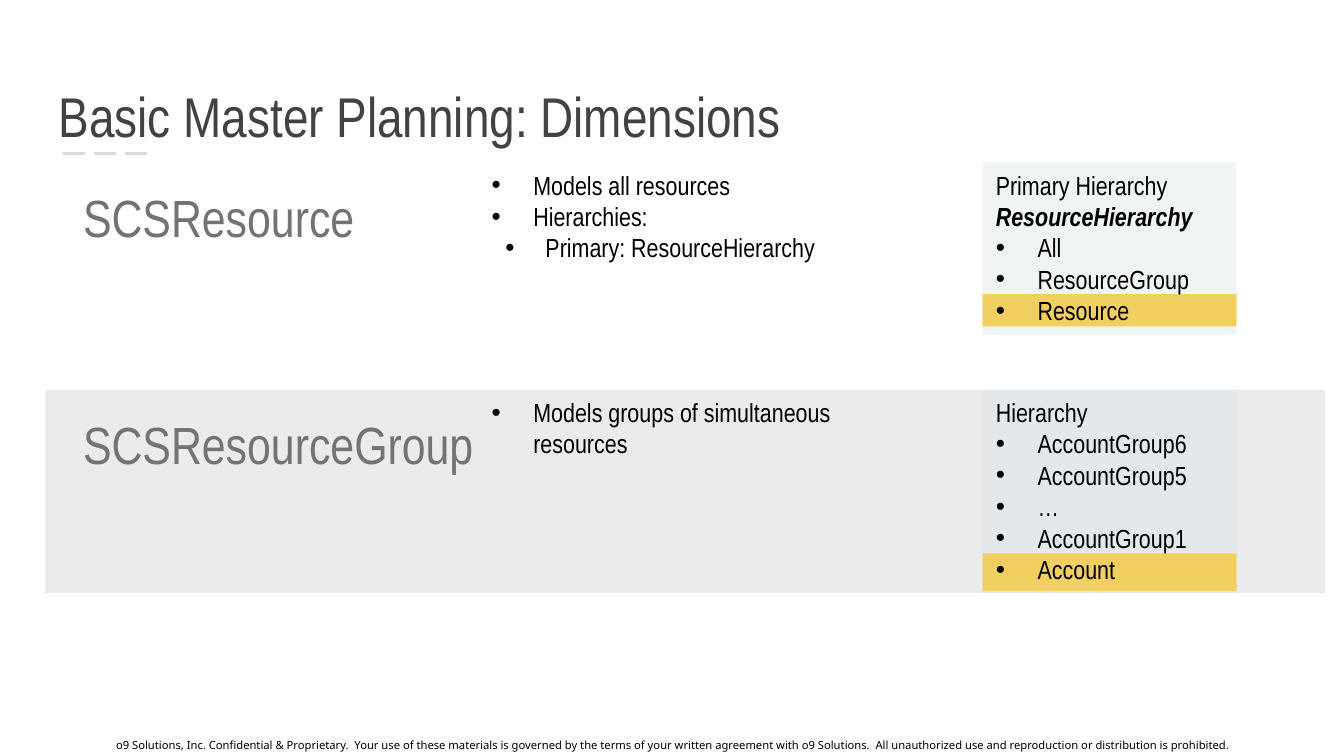
"""Build the master planning dimensions slide."""
from dataclasses import dataclass

from lxml.etree import SubElement
from pptx import Presentation
from pptx.dml.color import RGBColor as RGB
from pptx.enum.dml import MSO_LINE
from pptx.enum.shapes import MSO_CONNECTOR as CONN, MSO_SHAPE as SHAPE
from pptx.enum.text import MSO_ANCHOR as ANCHOR, MSO_AUTO_SIZE as FIT, PP_ALIGN as ALIGN
from pptx.oxml.ns import qn
from pptx.util import Cm, Pt

COLORS = {
    "title": "424242", "label": "737373", "text": "000000", "rule": "D9D9D9",
    "band": "EBEBEB", "highlight": "FFC000", "panel": "DEE5E9",
}
FONT = "Arial Narrow"
HANG = (0.79, 0.79)
SUB_HANG = (1.02, 0.76)
PANEL_X, PANEL_W = 18.57, 4.8
FOOTER = (
    "o9 Solutions, Inc. Confidential & Proprietary.  Your use of these materials is governed "
    "by the terms of your written agreement with o9 Solutions.  All unauthorized use and "
    "reproduction or distribution is prohibited."
)


@dataclass
class Dimension:
    name: str
    top: float
    height: float
    label_width: float
    notes: list[tuple[str, tuple[float, float]]]
    heading: str
    hierarchy: str
    levels: list[str]
    mark_top: float
    mark_height: float
    banded: bool = False


DIMENSIONS = [
    Dimension("SCSResource", 3.07, 3.25, 5.69,
              [("Models all resources", HANG), ("Hierarchies:", HANG),
               ("Primary: ResourceHierarchy", SUB_HANG)],
              "Primary Hierarchy ", "ResourceHierarchy",
              ["All", "ResourceGroup", "Resource"], 5.56, 0.61),
    Dimension("SCSResourceGroup", 7.37, 3.84, 7.98,
              [("Models groups of simultaneous resources", HANG)],
              "Hierarchy", "",
              ["AccountGroup6", "AccountGroup5", "…", "AccountGroup1", "Account"],
              10.46, 0.71, banded=True),
]


def add_run(p, text: str, size: float = 14, color: str = "text", font: str = FONT,
            bold: bool = False, italic: bool = False) -> None:
    r = p.add_run()
    r.text = text
    f = r.font
    f.name, f.size, f.bold, f.italic = font, Pt(size), bold, italic
    f.color.rgb = RGB.from_string(COLORS[color])


def next_paragraph(tf):
    first = tf.paragraphs[0]
    p = first if not first.runs else tf.add_paragraph()
    p.alignment = ALIGN.LEFT
    return p


def add_bullet(tf, text: str, hang: tuple[float, float] = HANG) -> None:
    p = next_paragraph(tf)
    margin, indent = hang
    pPr = p._p.get_or_add_pPr()
    pPr.set("marL", str(Cm(margin)))
    pPr.set("indent", str(-Cm(indent)))
    SubElement(SubElement(pPr, qn("a:buClr")), qn("a:srgbClr"), val=COLORS["text"])
    SubElement(pPr, qn("a:buFont"), typeface="Arial")
    SubElement(pPr, qn("a:buChar"), char="•")
    add_run(p, text)


def add_rect(s, x: float, y: float, w: float, h: float, color: str, alpha: int = 100):
    sp = s.shapes.add_shape(SHAPE.RECTANGLE, Cm(x), Cm(y), Cm(w), Cm(h))
    sp.shadow.inherit = False
    sp.fill.solid()
    sp.fill.fore_color.rgb = RGB.from_string(COLORS[color])
    sp.line.fill.background()
    if alpha < 100:
        clr = sp._element.spPr.find(qn("a:solidFill")).find(qn("a:srgbClr"))
        SubElement(clr, qn("a:alpha"), val=str(alpha * 1000))
    return sp


def add_box(s, x: float, y: float, w: float, h: float, wrap: bool = True):
    tf = s.shapes.add_textbox(Cm(x), Cm(y), Cm(w), Cm(h)).text_frame
    tf.word_wrap = wrap
    return tf


def set_margins(tf, size: float = 0.25) -> None:
    tf.margin_left = tf.margin_right = tf.margin_top = tf.margin_bottom = Cm(size)


def draw_title(s, text: str) -> None:
    sp = s.shapes.title
    sp.left, sp.top, sp.width, sp.height = Cm(0.86), Cm(1.04), Cm(23.67), Cm(2.03)
    tf = sp.text_frame
    tf.auto_size = FIT.NONE
    tf.vertical_anchor = ANCHOR.BOTTOM
    set_margins(tf)
    add_run(next_paragraph(tf), text, size=30, color="title")


def draw_rule(s) -> None:
    line = s.shapes.add_connector(CONN.STRAIGHT, Cm(1.19), Cm(2.9), Cm(2.9), Cm(2.9))
    line.line.color.rgb = RGB.from_string(COLORS["rule"])
    line.line.width = Pt(1.5)
    line.line.dash_style = MSO_LINE.LONG_DASH
    SubElement(line._element.spPr, qn("a:effectLst"))


def draw_footer(s) -> None:
    tf = add_box(s, 0, 13.82, 25.4, 0.53)
    tf.vertical_anchor = ANCHOR.MIDDLE
    set_margins(tf)
    p = next_paragraph(tf)
    p.alignment = ALIGN.CENTER
    add_run(p, FOOTER, size=6, font="Noto Sans")


def draw_dimension(s, d: Dimension) -> None:
    if d.banded:
        add_rect(s, 0.86, d.top, 24.18, d.height, "band")
    add_rect(s, PANEL_X, d.mark_top, PANEL_W, d.mark_height, "highlight")

    label = add_box(s, 1.32, d.top + 0.3, d.label_width, 1.45, wrap=False)
    add_run(next_paragraph(label), d.name, size=28, color="label")

    panel = add_rect(s, PANEL_X, d.top, PANEL_W, d.height, "panel", alpha=42).text_frame
    panel.word_wrap = True
    panel.vertical_anchor = ANCHOR.TOP
    p = next_paragraph(panel)
    add_run(p, d.heading)
    if d.hierarchy:
        add_run(p, d.hierarchy, bold=True, italic=True)
    for level in d.levels:
        add_bullet(panel, level)

    notes = add_box(s, 9.04, d.top, 7.24, 1.45)
    for text, hang in d.notes:
        add_bullet(notes, text, hang)


def main() -> None:
    prs = Presentation()
    prs.slide_width, prs.slide_height = Cm(25.4), Cm(14.29)
    s = prs.slides.add_slide(prs.slide_layouts[5])
    draw_rule(s)
    draw_footer(s)
    draw_title(s, "Basic Master Planning: Dimensions")
    for d in DIMENSIONS:
        draw_dimension(s, d)
    prs.save("out.pptx")


if __name__ == "__main__":
    main()
